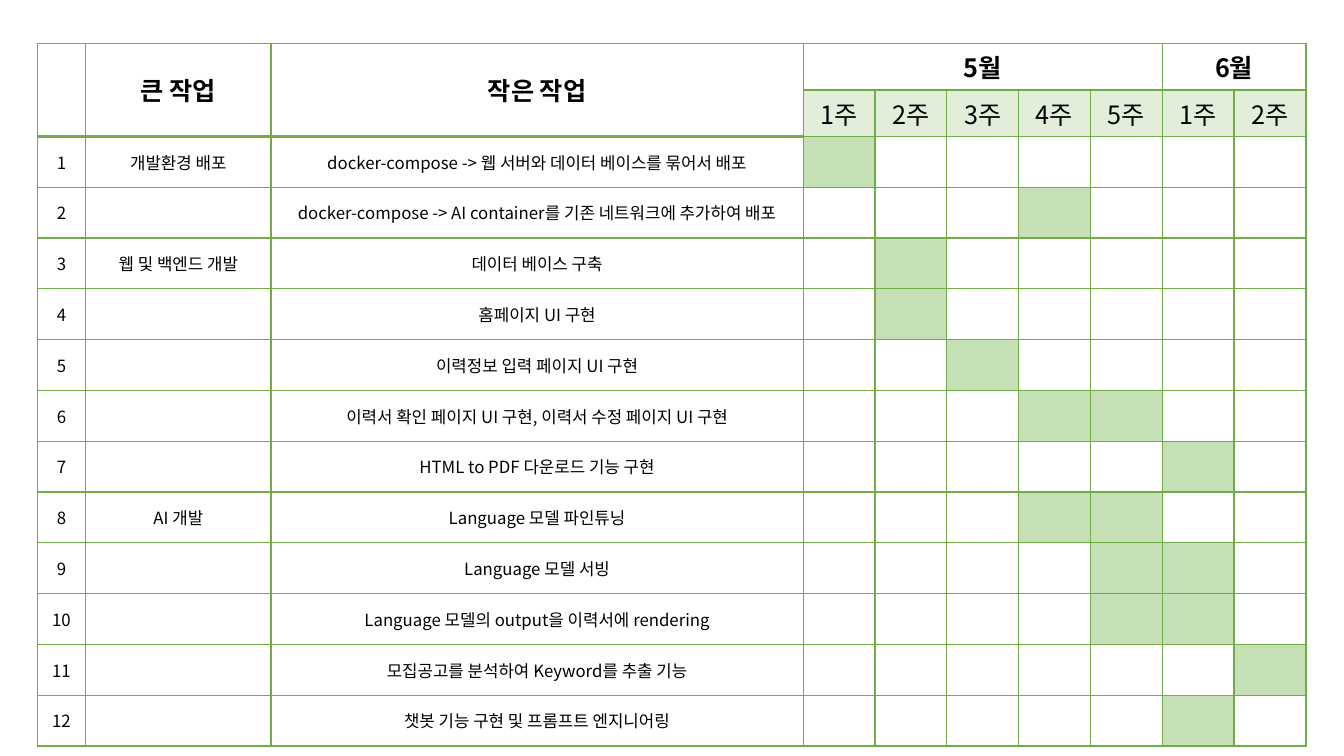
"""Build a slide with a weekly project schedule."""
from typing import NamedTuple

from lxml.etree import SubElement
from pptx import Presentation
from pptx.dml.color import RGBColor
from pptx.enum.text import MSO_VERTICAL_ANCHOR as Anchor, PP_PARAGRAPH_ALIGNMENT as Align
from pptx.oxml.ns import qn
from pptx.table import Table, _Cell as Cell
from pptx.util import Cm, Pt

GREEN = RGBColor(0x70, 0xAD, 0x47)
LIGHT_GREEN = RGBColor(0xC5, 0xE0, 0xB4)
WHITE = RGBColor(0xFF, 0xFF, 0xFF)
BLACK = RGBColor(0x00, 0x00, 0x00)
FONT = "Noto Sans CJK KR"

HEADER_ROWS = 2
FIRST_WEEK = 3
HEADER_HEIGHT = Cm(1.04)
TASK_HEIGHT = Cm(1.28)
COLUMN_WIDTHS = [Cm(1.22), Cm(4.67), Cm(13.41)] + [Cm(1.81)] * 7


class Month(NamedTuple):
    name: str
    weeks: int


class Task(NamedTuple):
    group: str
    name: str
    weeks: tuple[int, ...]


TITLES = ["", "큰 작업", "작은 작업"]
MONTHS = [Month("5월", 5), Month("6월", 2)]
TASKS = [
    Task("개발환경 배포", "docker-compose -> 웹 서버와 데이터 베이스를 묶어서 배포", (0,)),
    Task("", "docker-compose -> AI container를 기존 네트워크에 추가하여 배포", (3,)),
    Task("웹 및 백엔드 개발", "데이터 베이스 구축", (1,)),
    Task("", "홈페이지 UI 구현", (1,)),
    Task("", "이력정보 입력 페이지 UI 구현", (2,)),
    Task("", "이력서 확인 페이지 UI 구현, 이력서 수정 페이지 UI 구현", (3, 4)),
    Task("", "HTML to PDF 다운로드 기능 구현", (5,)),
    Task("AI 개발", "Language 모델 파인튜닝", (3, 4)),
    Task("", "Language 모델 서빙", (4, 5)),
    Task("", "Language 모델의 output을 이력서에 rendering", (4, 5)),
    Task("", "모집공고를 분석하여 Keyword를 추출 기능", (6,)),
    Task("", "챗봇 기능 구현 및 프롬프트 엔지니어링", (5,)),
]


def write(cell: Cell, text: str, size: int = 12, bold: bool = False) -> None:
    cell.text = text
    cell.vertical_anchor = Anchor.MIDDLE
    para = cell.text_frame.paragraphs[0]
    para.alignment = Align.CENTER
    font = para.font
    font.size, font.bold, font.name = Pt(size), bold, FONT
    font.color.rgb = BLACK
    defaults = para._p.pPr.find(qn("a:defRPr"))
    SubElement(defaults, qn("a:ea"), typeface=FONT)


def add_borders(cell: Cell, top: int = 1, bottom: int = 1) -> None:
    properties = cell._tc.get_or_add_tcPr()
    for side, width in {"L": 1, "R": 1, "T": top, "B": bottom}.items():
        line = SubElement(properties, qn(f"a:ln{side}"), w=str(Pt(width)))
        fill = SubElement(line, qn("a:solidFill"))
        SubElement(fill, qn("a:srgbClr"), val=str(GREEN))


def paint(cell: Cell, color: RGBColor, opacity: int = 100) -> None:
    cell.fill.solid()
    cell.fill.fore_color.rgb = color
    if opacity < 100:
        shade = cell._tc.tcPr.find(qn("a:solidFill")).find(qn("a:srgbClr"))
        SubElement(shade, qn("a:alpha"), val=str(opacity * 1000))


def fill_header(table: Table) -> None:
    for column, title in enumerate(TITLES):
        write(table.cell(0, column), title, 18, True)
        table.cell(0, column).merge(table.cell(1, column))
    column = FIRST_WEEK
    for month in MONTHS:
        write(table.cell(0, column), month.name, 18, True)
        table.cell(0, column).merge(table.cell(0, column + month.weeks - 1))
        for week in range(month.weeks):
            cell = table.cell(1, column + week)
            write(cell, f"{week + 1}주", 18)
            paint(cell, GREEN, 20)
        column += month.weeks


def fill_tasks(table: Table) -> None:
    for number, task in enumerate(TASKS, start=1):
        row = number + HEADER_ROWS - 1
        texts = [str(number), task.group, task.name]
        texts += [""] * (len(COLUMN_WIDTHS) - FIRST_WEEK)
        for column, text in enumerate(texts):
            write(table.cell(row, column), text)
        for week in task.weeks:
            paint(table.cell(row, FIRST_WEEK + week), LIGHT_GREEN)


def main() -> None:
    deck = Presentation()
    deck.slide_width, deck.slide_height = Cm(33.87), Cm(19.05)
    page = deck.slides.add_slide(deck.slide_layouts[6])
    heights = [HEADER_HEIGHT] * HEADER_ROWS + [TASK_HEIGHT] * len(TASKS)
    table = page.shapes.add_table(
        len(heights), len(COLUMN_WIDTHS), Cm(0.94), Cm(1.09), sum(COLUMN_WIDTHS), sum(heights)
    ).table
    table.first_row = table.horz_banding = False
    for column, width in zip(table.columns, COLUMN_WIDTHS):
        column.width = width
    for index, (row, height) in enumerate(zip(table.rows, heights)):
        row.height = height
        for cell in row.cells:
            add_borders(cell, top=2 if index == 1 else 1, bottom=2 if index == 0 else 1)
            paint(cell, WHITE)
    fill_header(table)
    fill_tasks(table)
    deck.save("out.pptx")


if __name__ == "__main__":
    main()
